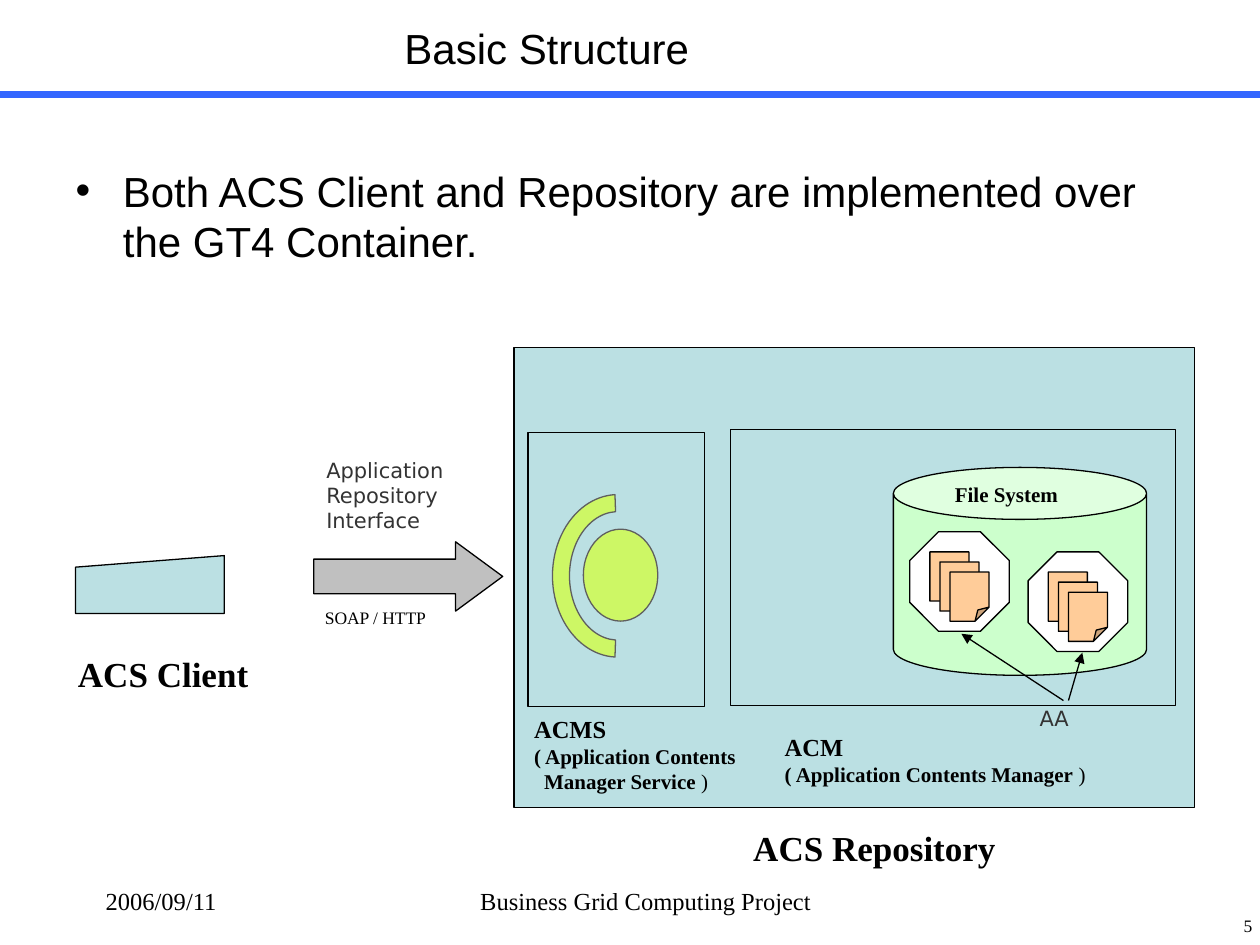
import pptx
import pptx.dml.color
import pptx.enum.shapes
import pptx.enum.text
import pptx.oxml.ns
import pptx.util
from lxml import etree

PX = 9144
SHAPE = pptx.enum.shapes.MSO_SHAPE
ALIGN = pptx.enum.text.PP_ALIGN
SERIF = "Times New Roman"
TEAL, LIME, PEACH = "BBE0E3", "CDF765", "FFCC99"


def px(length):
    """Turn px, a hundred to the inch, into EMU."""
    return pptx.util.Emu(length * PX)


def color(value):
    """Turn a hex string into a colour."""
    return pptx.dml.color.RGBColor.from_string(value)


def set_font(font, size, name=SERIF, ink="000000", bold=False):
    """Format a font."""
    font.size, font.name, font.bold = pptx.util.Pt(size), name, bold
    font.color.rgb = color(ink)


def add_element(parent, tag, **attributes):
    """Append a drawing element to its parent."""
    return etree.SubElement(parent, pptx.oxml.ns.qn(tag), **attributes)


def set_adjustments(shape, values):
    """Write the adjust values of a preset shape, some of which lack defaults."""
    geometry = shape._element.spPr.find(pptx.oxml.ns.qn("a:prstGeom"))
    for child in list(geometry):
        geometry.remove(child)
    guides = add_element(geometry, "a:avLst")
    for number, value in enumerate(values, 1):
        name = "adj" if len(values) == 1 else f"adj{number}"
        add_element(guides, "a:gd", name=name, fmla=f"val {round(value * 100000)}")


def add_shape(slide, kind, left, top, width, height, fill, line="000000", adjustments=()):
    """Add a filled preset shape with a thin outline."""
    shape = slide.shapes.add_shape(kind, px(left), px(top), px(width), px(height))
    shape.shadow.inherit = False
    shape.fill.solid()
    shape.fill.fore_color.rgb = color(fill)
    shape.line.color.rgb = color(line)
    shape.line.width = pptx.util.Pt(0.75)
    if adjustments:
        set_adjustments(shape, adjustments)
    return shape


def add_line(slide, start, end, ink="000000", width=0.75, arrow=False):
    """Add a straight line, with an arrowhead at its end if asked."""
    line = slide.shapes.add_connector(
        pptx.enum.shapes.MSO_CONNECTOR.STRAIGHT, *map(px, start + end))
    line.line.color.rgb = color(ink)
    line.line.width = pptx.util.Pt(width)
    properties = line._element.spPr
    if arrow:
        add_element(properties.find(pptx.oxml.ns.qn("a:ln")), "a:tailEnd", type="triangle")
    add_element(properties, "a:effectLst")


def add_text(slide, left, top, width, height, text, size, name=SERIF, ink="000000",
             bold=False, align=ALIGN.LEFT, inset=(10, 5), indent=0, wrap=True):
    """Add a text box of one paragraph and return its frame."""
    frame = slide.shapes.add_textbox(px(left), px(top), px(width), px(height)).text_frame
    frame.word_wrap = wrap
    frame.margin_left = frame.margin_right = px(inset[0])
    frame.margin_top = frame.margin_bottom = px(inset[1])
    paragraph = frame.paragraphs[0]
    paragraph.text, paragraph.alignment = text, align
    if indent:
        paragraph._p.get_or_add_pPr().set("marL", str(px(indent)))
    set_font(paragraph.font, size, name, ink, bold)
    return frame


def add_caption(slide, left, top, width, height, heading, lines):
    """Add a bold heading over a name in brackets, its later lines indented."""
    frame = add_text(slide, left, top, width, height, heading, 14, bold=True, wrap=False)
    for index, line in enumerate(lines):
        paragraph = frame.add_paragraph()
        if index:
            paragraph._p.get_or_add_pPr().set("marL", str(px(8)))
        run = paragraph.add_run()
        run.text = line
        set_font(run.font, 12, bold=True)
    run = paragraph.add_run()
    run.text = " )"
    set_font(run.font, 12)


def fill_placeholder(shape, left, top, width, height, text, anchor):
    """Place and format a template placeholder."""
    shape.left, shape.top, shape.width, shape.height = map(px, (left, top, width, height))
    frame = shape.text_frame
    frame.text = text
    frame.vertical_anchor = anchor
    frame.auto_size = pptx.enum.text.MSO_AUTO_SIZE.NONE
    paragraph = frame.paragraphs[0]
    paragraph.alignment = ALIGN.LEFT
    paragraph.space_before = pptx.util.Pt(0)
    set_font(paragraph.font, 24, "Arial")


def add_header(slide):
    """Fill the title and the list and draw the rule between them."""
    anchor = pptx.enum.text.MSO_ANCHOR
    fill_placeholder(slide.shapes.title, 311, 13, 689, 50, "Basic Structure", anchor.MIDDLE)
    fill_placeholder(
        slide.placeholders[1], 50, 126, 900, 541,
        "Both ACS Client and Repository are implemented over the GT4 Container.", anchor.TOP)
    add_line(slide, (0, 75), (1000, 75), "3366FF", 4.5)


def add_client(slide, left, top):
    """Draw the client and its name."""
    add_shape(slide, SHAPE.FLOWCHART_MANUAL_INPUT, left + 8, top, 118, 46, TEAL)
    add_text(slide, left, top + 72, 165, 44, "ACS Client", 20, bold=True)


def add_interface(slide, left, top):
    """Draw the arrow to the repository with its two labels."""
    add_shape(slide, SHAPE.RIGHT_ARROW, left, top + 68, 150, 55, "C0C0C0",
              adjustments=(0.5, 0.68))
    add_text(slide, left + 2, top, 120, 68, "Application Repository Interface", 12,
             "DejaVu Sans", "333333", align=ALIGN.JUSTIFY, inset=(8, 1))
    add_text(slide, left - 1, top + 115, 111, 27, "SOAP / HTTP", 10)


def add_service(slide, left, top):
    """Draw the manager service panel."""
    add_shape(slide, SHAPE.RECTANGLE, left, top, 140, 218, TEAL)
    arc = add_shape(slide, SHAPE.BLOCK_ARC, left + 7, top + 62, 129, 104, LIME, "5F5F5F",
                    (109.28, 214.72, 0.13))
    arc.rotation = 270
    add_shape(slide, SHAPE.OVAL, left + 44, top + 77, 59, 73, LIME, "5F5F5F")
    add_caption(slide, left - 5, top + 219, 185, 74, "ACMS",
                ["( Application Contents", "Manager Service"])


def add_archive(slide, left, top):
    """Draw an octagon holding a stack of three files."""
    add_shape(slide, SHAPE.OCTAGON, left, top, 79, 79, "FFFFFF", adjustments=(0.29,))
    for offset in (16, 24, 32):
        add_shape(slide, SHAPE.FOLDED_CORNER, left + offset, top + offset, 31, 39, PEACH,
                  adjustments=(0.36,))


def add_manager(slide, left, top):
    """Draw the manager panel with its file system."""
    add_shape(slide, SHAPE.RECTANGLE, left, top, 353, 219, TEAL)
    add_shape(slide, SHAPE.CAN, left + 129, top + 30, 201, 165, "CCFFCC", adjustments=(0.25,))
    add_text(slide, left + 168, top + 36, 112, 30, "File System", 12, bold=True)
    add_archive(slide, left + 142, top + 81)
    add_archive(slide, left + 236, top + 97)
    add_line(slide, (left + 264, top + 215), (left + 183, top + 162), arrow=True)
    add_line(slide, (left + 268, top + 215), (left + 279, top + 177), arrow=True)
    add_text(slide, left + 237, top + 218, 55, 34, "AA", 12, "DejaVu Sans", "333333",
             align=ALIGN.JUSTIFY, inset=(8, 1))
    add_caption(slide, left + 33, top + 235, 260, 54, "ACM",
                ["( Application Contents Manager"])


def add_repository(slide, left, top):
    """Draw the repository with its two panels and its name."""
    add_shape(slide, SHAPE.RECTANGLE, left, top, 540, 365, TEAL)
    add_service(slide, left + 11, top + 67)
    add_manager(slide, left + 172, top + 65)
    add_text(slide, left + 180, top + 375, 213, 44, "ACS Repository", 20, bold=True)


def add_footer(slide, top):
    """Write the date, the project and the slide number."""
    add_text(slide, 50, top, 233, 37, "2006/09/11", 14, indent=24)
    add_text(slide, 342, top, 317, 37, "Business Grid Computing Project", 14,
             align=ALIGN.CENTER, indent=24)
    add_text(slide, 825, top + 27, 171, 28, "5", 10, align=ALIGN.RIGHT, inset=(2, 1), indent=24)


def main():
    """Build and save the slide."""
    presentation = pptx.Presentation()
    presentation.slide_width, presentation.slide_height = px(1000), px(750)
    slide = presentation.slides.add_slide(presentation.slide_layouts[1])
    add_header(slide)
    add_client(slide, 52, 441)
    add_interface(slide, 249, 362)
    add_repository(slide, 408, 276)
    add_footer(slide, 698)
    presentation.save("out.pptx")


if __name__ == "__main__":
    main()
